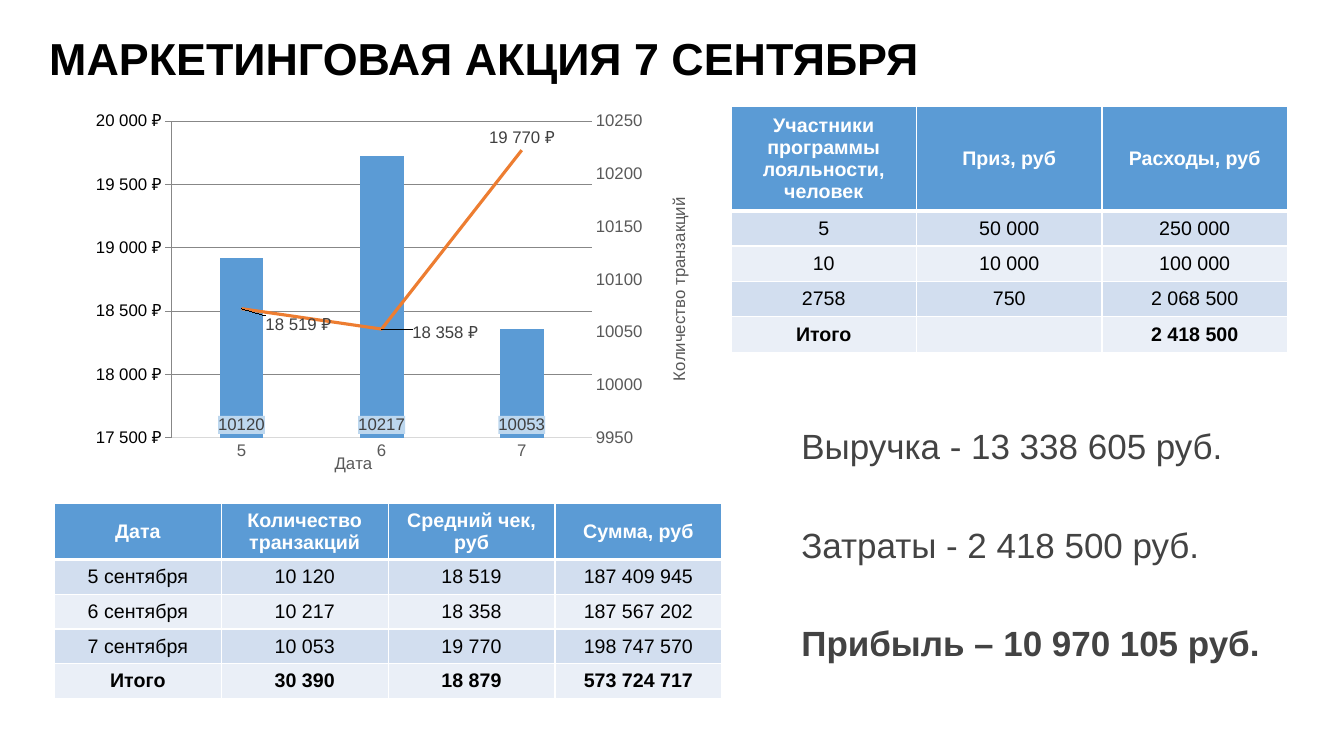
from copy import deepcopy
from pptx import Presentation
from pptx.chart.axis import ValueAxis
from pptx.chart.data import CategoryChartData
from pptx.dml.color import RGBColor
from pptx.enum import chart as charts, text
from pptx.oxml import parse_xml
from pptx.oxml.ns import nsdecls, qn
from pptx.util import Inches, Pt

# Content
TITLE = "МАРКЕТИНГОВАЯ АКЦИЯ 7 СЕНТЯБРЯ"
DAYS = ["5", "6", "7"]
TRANSACTIONS = ("Количество транзакций", [10120, 10217, 10053])
AVERAGE_CHECK = ("Средний чек, рублей", [18519, 18358, 19770])
PRIZES = [
    ("Участники программы лояльности, человек", "Приз, руб", "Расходы, руб"),
    ("5", "50 000", "250 000"),
    ("10", "10 000", "100 000"),
    ("2758", "750", "2 068 500"),
    ("Итого", "", "2 418 500"),
]
SALES = [
    ("Дата", "Количество транзакций", "Средний чек, руб", "Сумма, руб"),
    ("5 сентября", "10 120", "18 519", "187 409 945"),
    ("6 сентября", "10 217", "18 358", "187 567 202"),
    ("7 сентября", "10 053", "19 770", "198 747 570"),
    ("Итого", "30 390", "18 879", "573 724 717"),
]
SUMMARY = ["Выручка - 13 338 605 руб.", "Затраты - 2 418 500 руб.",
           "Прибыль – 10 970 105 руб."]
ROUBLES = '#\\ ##0\\ "₽"'

THEME = dict(
    font="Arial", black="000000", white="FFFFFF", blue="5B9BD5", orange="ED7D31",
    bands=("EAEFF7", "D2DEEF"), label_back="BDD7EE", grid="D9D9D9",
    axis="595959", label="404040", summary="434343",
    title_size=32, summary_size=25, table_size=14, chart_size=12,
)


def style_font(font, size, color, bold=False):
    font.name, font.size, font.bold = THEME["font"], Pt(size), bold
    font.color.rgb = RGBColor.from_string(THEME[color])


def chart_xml(tag, body="", attributes=""):
    return parse_xml(f'<c:{tag} {nsdecls("c", "a")} {attributes}>{body}</c:{tag}>')


def manual_layout(x, y, extra=""):
    return chart_xml("layout", f'<c:manualLayout>{extra}<c:x val="{x}"/>'
                     f'<c:y val="{y}"/></c:manualLayout>')


def add_text(slide, box, lines, size, color):
    frame = slide.shapes.add_textbox(*map(Inches, box)).text_frame
    frame.word_wrap = True
    frame.text = "\n".join(lines)
    for paragraph in frame.paragraphs:
        style_font(paragraph.runs[0].font, size, color)
    return frame.paragraphs


# Tables
def add_cell_borders(cell, bottom):
    properties = cell._tc.get_or_add_tcPr()
    for index, (side, width) in enumerate(
            [("L", 1), ("R", 1), ("T", 1), ("B", bottom)]):
        properties.insert(index, parse_xml(
            f'<a:ln{side} {nsdecls("a")} w="{Pt(width)}"><a:solidFill>'
            f'<a:srgbClr val="{THEME["white"]}"/></a:solidFill></a:ln{side}>'))


def add_table(slide, left, top, width, header_height, row_height, rows):
    height = header_height + row_height * (len(rows) - 1)
    table = slide.shapes.add_table(
        len(rows), len(rows[0]), *map(Inches, (left, top, width, height))).table
    for column in table.columns:
        column.width = Inches(width / len(rows[0]))
    for r, row in enumerate(rows):
        header, total = r == 0, r == len(rows) - 1
        table.rows[r].height = Inches(header_height if header else row_height)
        for c, value in enumerate(row):
            cell = table.cell(r, c)
            cell.text = value
            cell.vertical_anchor = text.MSO_ANCHOR.MIDDLE
            cell.margin_top = cell.margin_bottom = Inches(0.03)
            cell.fill.solid()
            cell.fill.fore_color.rgb = RGBColor.from_string(
                THEME["blue"] if header else THEME["bands"][r % 2])
            add_cell_borders(cell, 3 if header else 1)
            paragraph = cell.text_frame.paragraphs[0]
            paragraph.alignment = text.PP_ALIGN.CENTER
            for run in paragraph.runs:
                style_font(run.font, THEME["table_size"],
                           "white" if header else "black", header or total)


# Chart
def remove_children(element, tag):
    for child in element.findall(qn(tag)):
        element.remove(child)


def style_axis(axis, title, x, y, rotated=True):
    axis.major_tick_mark = axis.minor_tick_mark = charts.XL_TICK_MARK.NONE
    axis.format.line.fill.background()
    style_font(axis.tick_labels.font, THEME["chart_size"], "axis")
    frame = axis.axis_title.text_frame
    frame.text = title
    style_font(frame.paragraphs[0].runs[0].font, THEME["chart_size"], "axis")
    if rotated:
        body = frame._txBody.find(qn("a:bodyPr"))
        body.set("rot", "-5400000")
        body.set("vert", "horz")
    element = axis.axis_title._element
    remove_children(element, "c:layout")
    element.find(qn("c:tx")).addnext(manual_layout(
        x, y, '<c:xMode val="edge"/><c:yMode val="edge"/>'))


def style_scale(axis, low, high, step, number_format):
    axis.minimum_scale, axis.maximum_scale, axis.major_unit = low, high, step
    axis.tick_labels.number_format = number_format
    axis.tick_labels.number_format_is_linked = False


def split_line_plot(plot_area):
    """Move the second series to a line plot; give the bars their own axes."""
    bars = plot_area.find(qn("c:barChart"))
    line_series = bars.findall(qn("c:ser"))[1]
    remove_children(line_series, "c:invertIfNegative")
    line = chart_xml("lineChart", '<c:grouping val="standard"/><c:varyColors val="0"/>')
    line.append(line_series)
    line.append(chart_xml("marker", attributes='val="1"'))
    bars.addnext(line)
    axes = [plot_area.find(qn("c:catAx")), plot_area.find(qn("c:valAx"))]
    bar_axes = [deepcopy(axis) for axis in axes]
    bar_ids = ["50010", "50020"]
    for bar_id, reference in zip(bar_ids, bars.findall(qn("c:axId"))):
        line.append(deepcopy(reference))
        reference.set("val", bar_id)
    for axis, own, other in zip(bar_axes, bar_ids, reversed(bar_ids)):
        axis.find(qn("c:axId")).set("val", own)
        axis.find(qn("c:crossAx")).set("val", other)
    axes[1].addnext(bar_axes[0])
    bar_axes[0].addnext(bar_axes[1])
    bar_axes[0].find(qn("c:delete")).set("val", "1")
    bar_axes[1].find(qn("c:axPos")).set("val", "r")
    bar_axes[1].find(qn("c:crosses")).set("val", "max")
    return ValueAxis(bar_axes[1])


def add_sales_chart(slide):
    data = CategoryChartData()
    data.categories = DAYS
    data.add_series(*TRANSACTIONS, number_format="General")
    data.add_series(*AVERAGE_CHECK, number_format=ROUBLES)
    chart = slide.shapes.add_chart(
        charts.XL_CHART_TYPE.COLUMN_CLUSTERED,
        *map(Inches, (0.31, 1.04, 6.62, 4.03)), data).chart
    chart.has_title = chart.has_legend = False
    style_font(chart.font, THEME["chart_size"], "black")
    plot_area = chart._chartSpace.find(".//" + qn("c:plotArea"))
    count_axis = split_line_plot(plot_area)

    # Axes
    style_axis(chart.category_axis, "Дата", 0.45, 0.85, rotated=False)
    chart.category_axis.format.line.color.rgb = RGBColor.from_string(THEME["grid"])
    style_axis(chart.value_axis, AVERAGE_CHECK[0], 0.03, 0.24)
    style_scale(chart.value_axis, 17500, 20000, 500, ROUBLES)
    grid = chart.value_axis.major_gridlines.format.line
    grid.color.rgb, grid.width = RGBColor.from_string(THEME["grid"]), Pt(0.75)
    style_axis(count_axis, TRANSACTIONS[0], 0.95, 0.22)
    style_scale(count_axis, 9950, 10250, 50, "General")
    count_axis.has_major_gridlines = False
    remove_children(plot_area, "c:layout")
    inner = manual_layout(0.21, 0.04, '<c:layoutTarget val="inner"/>'
                          '<c:xMode val="edge"/><c:yMode val="edge"/>')
    for tag, share in (("w", 0.63), ("h", 0.78)):
        inner[0].append(chart_xml(tag, attributes=f'val="{share}"'))
    plot_area.insert(0, inner)

    # Series and labels
    bar_plot, line_plot = chart.plots
    bar_plot.vary_by_categories = False
    bar_plot.gap_width, bar_plot.overlap = 219, -27
    bars, line = bar_plot.series[0], line_plot.series[0]
    bars.format.fill.solid()
    bars.format.fill.fore_color.rgb = RGBColor.from_string(THEME["blue"])
    line.smooth = False
    line.marker.style = charts.XL_MARKER_STYLE.NONE
    line.format.line.color.rgb = RGBColor.from_string(THEME["orange"])
    line.format.line.width = Pt(2.25)
    positions = charts.XL_LABEL_POSITION
    for series, position, number_format in (
            (bars, positions.INSIDE_BASE, "General"), (line, positions.ABOVE, ROUBLES)):
        labels = series.data_labels
        labels.show_value, labels.position = True, position
        labels.number_format, labels.number_format_is_linked = number_format, False
        style_font(labels.font, THEME["chart_size"], "label")
    bars.data_labels._element.find(qn("c:txPr")).addprevious(chart_xml(
        "spPr", f'<a:solidFill><a:srgbClr val="{THEME["label_back"]}"/></a:solidFill>'))
    for index, offset in enumerate([(0.03, 0.04), (0.04, 0.01)]):
        label = line.points[index].data_label
        label.position = positions.RIGHT
        style_font(label.font, THEME["chart_size"], "label")
        element = line.data_labels._element.findall(qn("c:dLbl"))[index]
        element.insert(1, manual_layout(*offset))


def main():
    presentation = Presentation()
    presentation.slide_width, presentation.slide_height = Inches(13.33), Inches(7.5)
    slide = presentation.slides.add_slide(presentation.slide_layouts[6])
    title = add_text(slide, (0.39, 0.26, 10.6, 0.64), [TITLE], THEME["title_size"], "black")
    title[0].runs[0].font.bold = True
    add_sales_chart(slide)
    add_table(slide, 7.25, 1.06, 5.52, 1.03, 0.35, PRIZES)
    add_table(slide, 0.54, 4.99, 6.62, 0.56, 0.345, SALES)

    # Summary
    summary = add_text(slide, (7.85, 4.1, 5.05, 2.52), SUMMARY,
                       THEME["summary_size"], "summary")
    for index, paragraph in enumerate(summary):
        paragraph.alignment = text.PP_ALIGN.JUSTIFY
        paragraph.line_spacing = 1.15
        paragraph.space_before = Pt(36 if index else 0)
    summary[-1].runs[0].font.bold = True
    presentation.save("out.pptx")


if __name__ == "__main__":
    main()
